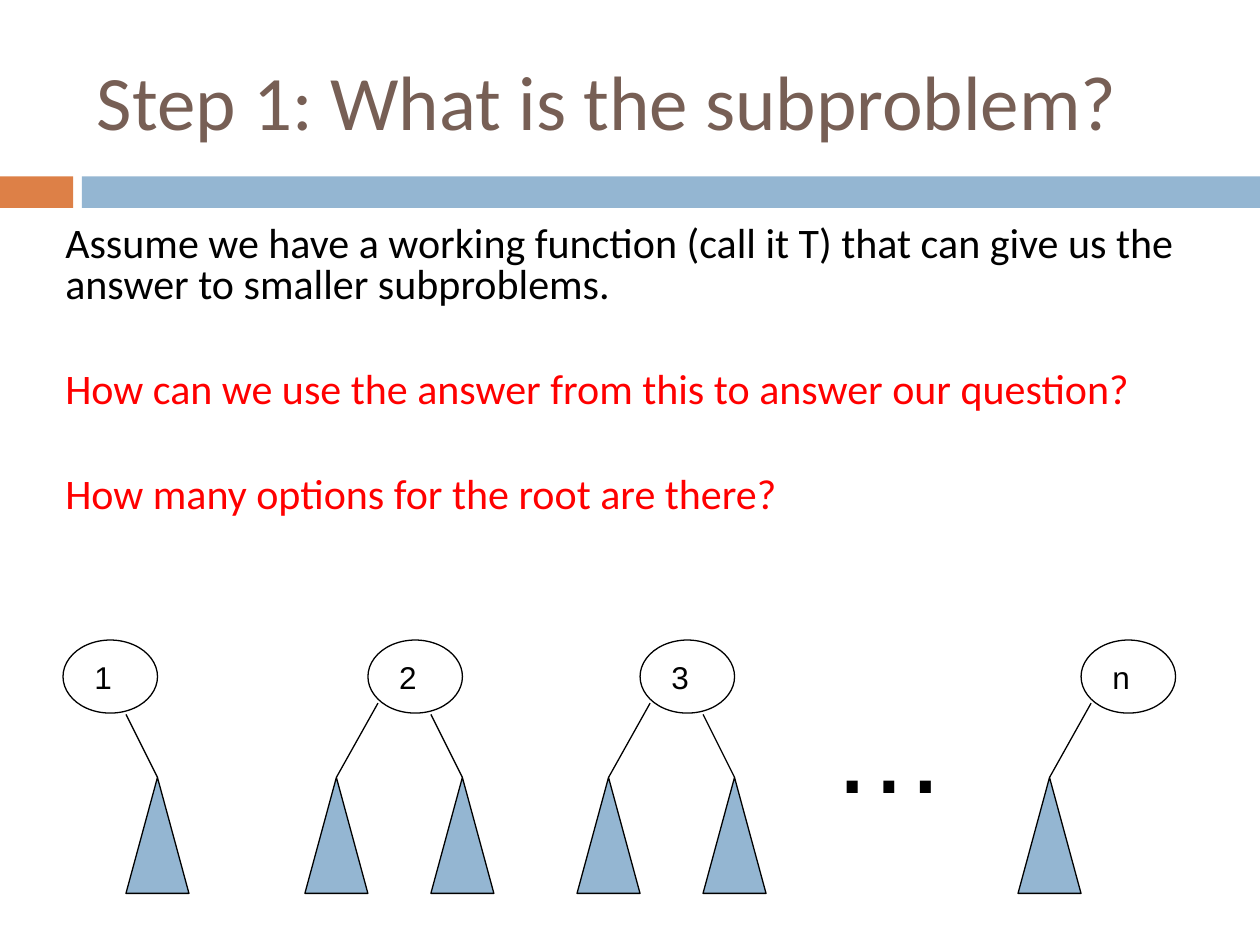
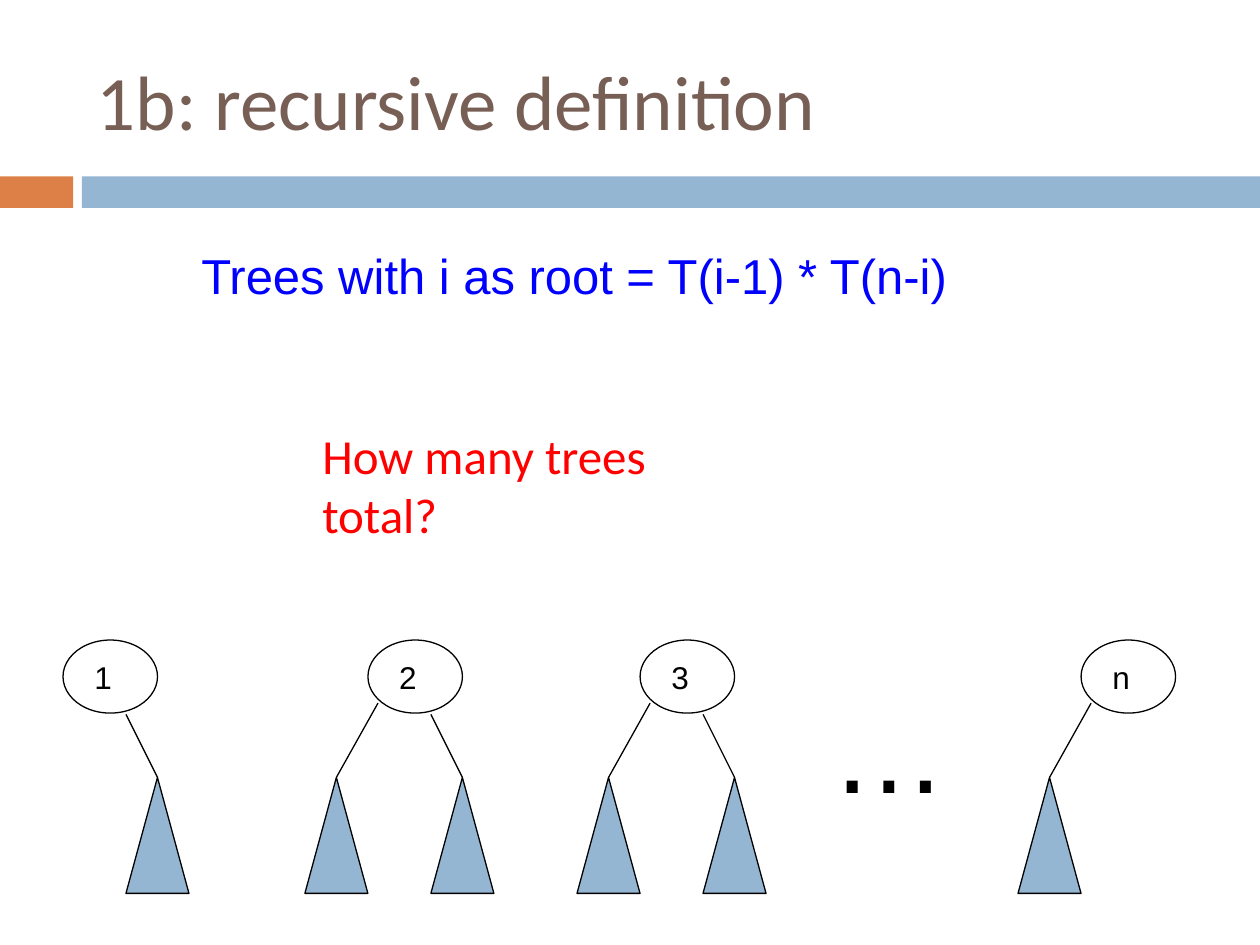
from lxml.etree import SubElement
from pptx import Presentation
from pptx.dml.color import RGBColor
from pptx.enum.shapes import MSO_CONNECTOR, MSO_SHAPE
from pptx.enum.text import MSO_ANCHOR
from pptx.oxml.ns import qn
from pptx.util import Inches, Pt

BROWN = RGBColor(0x77, 0x5F, 0x55)
ORANGE = RGBColor(0xDD, 0x80, 0x47)
BLUE = RGBColor(0x94, 0xB6, 0xD2)
FORMULA_BLUE = RGBColor(0x00, 0x00, 0xFF)
RED = RGBColor(0xFF, 0x00, 0x00)
BLACK = RGBColor(0x00, 0x00, 0x00)

TITLES = ["Step 1: What is the subproblem?", "1b: recursive definition"]
BODY = [
    ("Assume we have a working function (call it T) that can give us the "
     "answer to smaller subproblems.", BLACK, 7),
    ("How can we use the answer from this to answer our question?", RED, 37),
    ("How many options for the root are there?", RED, 37),
]

# Label, left edge of the root, has left subtree, has right subtree
TREES = [
    ("1", 0.5, False, True),
    ("2", 2.92, True, True),
    ("3", 5.08, True, True),
    ("n", 8.58, True, False),
]
ROOT_TOP = 5.08
SUBTREE_TOP = 6.17


def add_text(slide, box, text, size, font, color):
    """Add a wrapping text box with one run and return its text frame."""
    frame = slide.shapes.add_textbox(*map(Inches, box)).text_frame
    frame.word_wrap = True
    run = frame.paragraphs[0].add_run()
    run.text = text
    run.font.size = Pt(size)
    run.font.name = font
    run.font.color.rgb = color
    return frame


def add_figure(slide, kind, box, fill=None, outlined=True):
    """Add a preset shape without shadow, optionally filled and outlined."""
    shape = slide.shapes.add_shape(kind, *map(Inches, box))
    shape.shadow.inherit = False
    if fill is None:
        shape.fill.background()
    else:
        shape.fill.solid()
        shape.fill.fore_color.rgb = fill
    if outlined:
        shape.line.color.rgb = BLACK
        shape.line.width = Pt(0.75)
    else:
        shape.line.fill.background()


presentation = Presentation()
presentation.slide_width = Inches(10)
presentation.slide_height = Inches(7.5)
slides = []

# Title, band and row of trees on every slide
for title in TITLES:
    slide = presentation.slides.add_slide(presentation.slide_layouts[6])
    slides.append(slide)
    add_figure(slide, MSO_SHAPE.RECTANGLE, (0, 1.4, 0.58, 0.25), ORANGE, outlined=False)
    add_figure(slide, MSO_SHAPE.RECTANGLE, (0.65, 1.4, 9.35, 0.25), BLUE, outlined=False)
    title_frame = add_text(slide, (0.67, 0.25, 8.92, 1.08), title, 44, "Calibri", BROWN)
    title_frame.vertical_anchor = MSO_ANCHOR.MIDDLE

    for label, left, has_left, has_right in TREES:
        add_text(slide, (left + 0.15, 5.17, 0.6, 0.4), label, 18, "Arial", BLACK)
        add_figure(slide, MSO_SHAPE.OVAL, (left, ROOT_TOP, 0.75, 0.58))
        # Branch start, branch end and subtree's left edge
        branches = []
        if has_right:
            branches.append((left + 0.5, 5.67, left + 0.75))
        if has_left:
            branches.append((left + 0.08, 5.58, left - 0.25))
        for start_x, start_y, apex_x in branches:
            branch = slide.shapes.add_connector(
                MSO_CONNECTOR.STRAIGHT,
                *map(Inches, (start_x, start_y, apex_x, SUBTREE_TOP)))
            branch.line.color.rgb = BLACK
            branch.line.width = Pt(0.75)
            SubElement(branch._element.spPr, qn("a:effectLst"))
            add_figure(slide, MSO_SHAPE.ISOSCELES_TRIANGLE,
                       (apex_x - 0.25, SUBTREE_TOP, 0.5, 0.92), BLUE)
    add_text(slide, (6.5, 5.33, 1.08, 1.2), "…", 66, "Arial", BLACK)

subproblem_slide, recursion_slide = slides

# Slide 1: the questions
body_frame = None
for text, color, space_before in BODY:
    if body_frame is None:
        body_frame = add_text(subproblem_slide, (0.42, 1.75, 9.17, 2.67),
                              text, 24, "Calibri", color)
        paragraph = body_frame.paragraphs[0]
    else:
        paragraph = body_frame.add_paragraph()
        run = paragraph.add_run()
        run.text = text
        run.font.size = Pt(24)
        run.font.name = "Calibri"
        run.font.color.rgb = color
    paragraph.line_spacing = 0.8
    paragraph.space_before = Pt(space_before)

# Slide 2: the recurrence
add_text(recursion_slide, (2.46, 3.33, 3.67, 0.57),
         "How many trees total?", 28, "Calibri", RED)
add_text(recursion_slide, (1.5, 1.9, 6.55, 0.57),
         "Trees with i as root = T(i-1) * T(n-i)", 28, "Arial", FORMULA_BLUE)

presentation.save("out.pptx")
